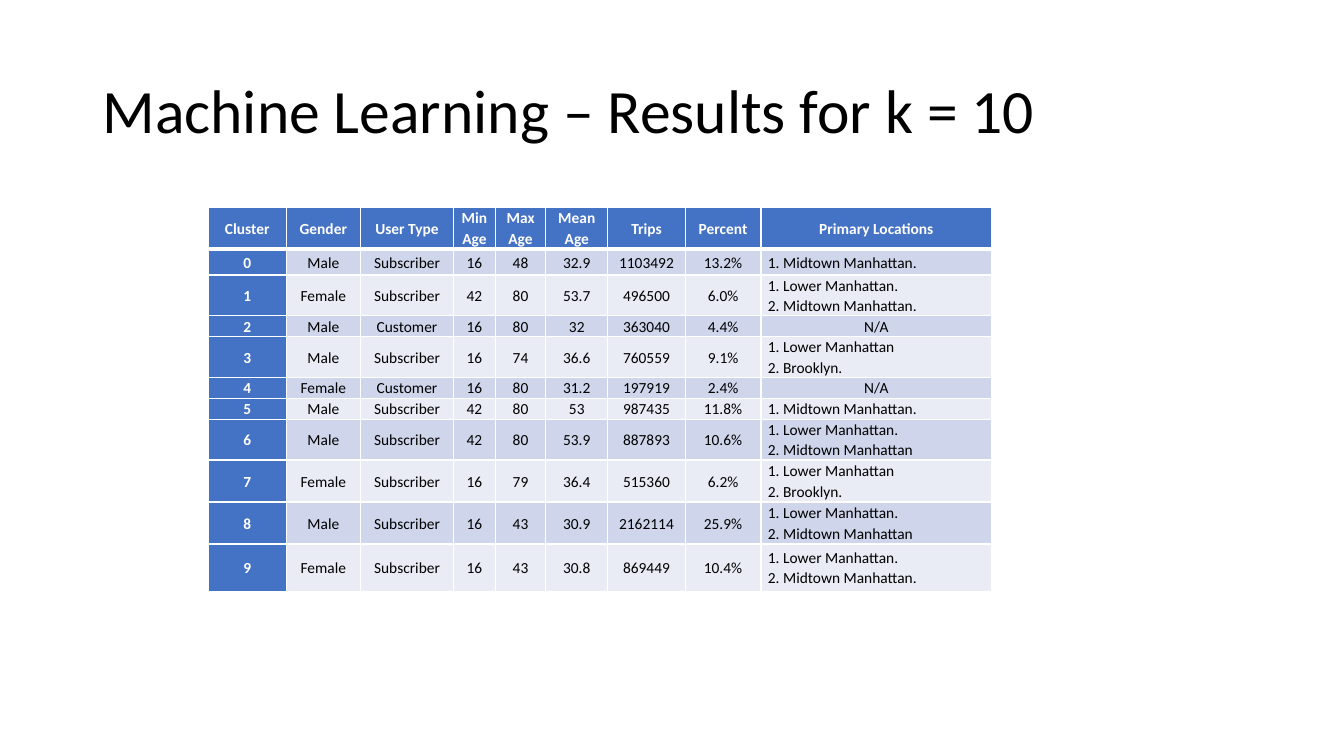
from lxml.etree import fromstring
from pptx import Presentation
from pptx.dml.color import RGBColor
from pptx.enum.text import MSO_ANCHOR, MSO_AUTO_SIZE, PP_ALIGN
from pptx.util import Pt

TITLE = "Machine Learning – Results for k = 10"
HEADS = ["Cluster", "Gender", "User Type", "Min Age", "Max Age", "Mean Age",
         "Trips", "Percent", "Primary Locations"]
# "\v" breaks a line, "\n" starts a paragraph
ROWS = [
    ("0", "Male", "Subscriber", "16", "48", "32.9", "1103492", "13.2%", "1. Midtown Manhattan."),
    ("1", "Female", "Subscriber", "42", "80", "53.7", "496500", "6.0%",
     "1. Lower Manhattan.\v2. Midtown Manhattan."),
    ("2", "Male", "Customer", "16", "80", "32", "363040", "4.4%", "N/A"),
    ("3", "Male", "Subscriber", "16", "74", "36.6", "760559", "9.1%",
     "1. Lower Manhattan\v2. Brooklyn."),
    ("4", "Female", "Customer", "16", "80", "31.2", "197919", "2.4%", "N/A"),
    ("5", "Male", "Subscriber", "42", "80", "53", "987435", "11.8%", "1. Midtown Manhattan."),
    ("6", "Male", "Subscriber", "42", "80", "53.9", "887893", "10.6%",
     "1. Lower Manhattan.\v2. Midtown Manhattan"),
    ("7", "Female", "Subscriber", "16", "79", "36.4", "515360", "6.2%",
     "1. Lower Manhattan\v2. Brooklyn."),
    ("8", "Male", "Subscriber", "16", "43", "30.9", "2162114", "25.9%",
     "1. Lower Manhattan.\v2. Midtown Manhattan"),
    ("9", "Female", "Subscriber", "16", "43", "30.8", "869449", "10.4%",
     "1. Lower Manhattan.\n2. Midtown Manhattan."),
]
WIDTHS = [56, 52.8, 66.8, 29.6, 36.2, 44.2, 55.4, 54, 165]
HEIGHTS = [30.2, 18.5, 27.4, 15, 26.6, 15, 15, 25.2, 30, 30, 33.8]
LEFT, TOP = 148.6, 147.8
FONT, BLUE, BANDS = "Calibri", "4472C4", ("E9EBF5", "CFD5EA")
WHITE, BLACK = "FFFFFF", "000000"
NS = "http://schemas.openxmlformats.org/drawingml/2006/main"


def color(code):
    return RGBColor.from_string(code)


def write(frame, text, size=11, ink=BLACK, bold=False, align=PP_ALIGN.CENTER, gap=1.07):
    frame.text = text
    for para in frame.paragraphs:
        para.alignment = align
        para.line_spacing = gap
        for run in para.runs:
            font = run.font
            font.name, font.size, font.bold = FONT, Pt(size), bold
            font.color.rgb = color(ink)


def edge(cell, **widths):
    # Borders stand before the fill in the cell properties
    props = cell._tc.get_or_add_tcPr()
    for i, side in enumerate("LRTB"):
        props.insert(i, fromstring(
            f'<a:ln{side} xmlns:a="{NS}" w="{Pt(widths.get(side, 1))}"><a:solidFill>'
            f'<a:srgbClr val="{WHITE}"/></a:solidFill></a:ln{side}>'))


deck = Presentation()
deck.slide_width, deck.slide_height = Pt(960), Pt(540)
slide = deck.slides.add_slide(deck.slide_layouts[5])

# Title
title = slide.shapes.title
title.left, title.top, title.width, title.height = Pt(66), Pt(28.75), Pt(828), Pt(104.4)
title.text_frame.auto_size = MSO_AUTO_SIZE.NONE
title.text_frame.vertical_anchor = MSO_ANCHOR.MIDDLE
write(title.text_frame, TITLE, size=44, align=PP_ALIGN.LEFT, gap=0.9)

# Table grid
table = slide.shapes.add_table(len(HEIGHTS), len(WIDTHS), Pt(LEFT), Pt(TOP),
                               Pt(sum(WIDTHS)), Pt(sum(HEIGHTS))).table
table.first_col = True
for col, width in zip(table.columns, WIDTHS):
    col.width = Pt(width)
for row, height in zip(table.rows, HEIGHTS):
    row.height = Pt(height)

# Cells: blue header row and first column, banded body
for r, texts in enumerate([HEADS] + ROWS):
    for c, text in enumerate(texts):
        cell = table.cell(r, c)
        head = r == 0 or c == 0
        cell.fill.solid()
        cell.fill.fore_color.rgb = color(BLUE if head else BANDS[r % 2])
        cell.margin_left = cell.margin_right = Pt(5)
        cell.margin_top = cell.margin_bottom = Pt(0)
        cell.vertical_anchor = MSO_ANCHOR.MIDDLE
        edge(cell, T=3 if r == 1 else 1, B=3 if r == 0 else 1)
        place = text.startswith("1. ")
        write(cell.text_frame, text, ink=WHITE if head else BLACK, bold=head,
              align=PP_ALIGN.LEFT if place else PP_ALIGN.CENTER)

deck.save("out.pptx")
